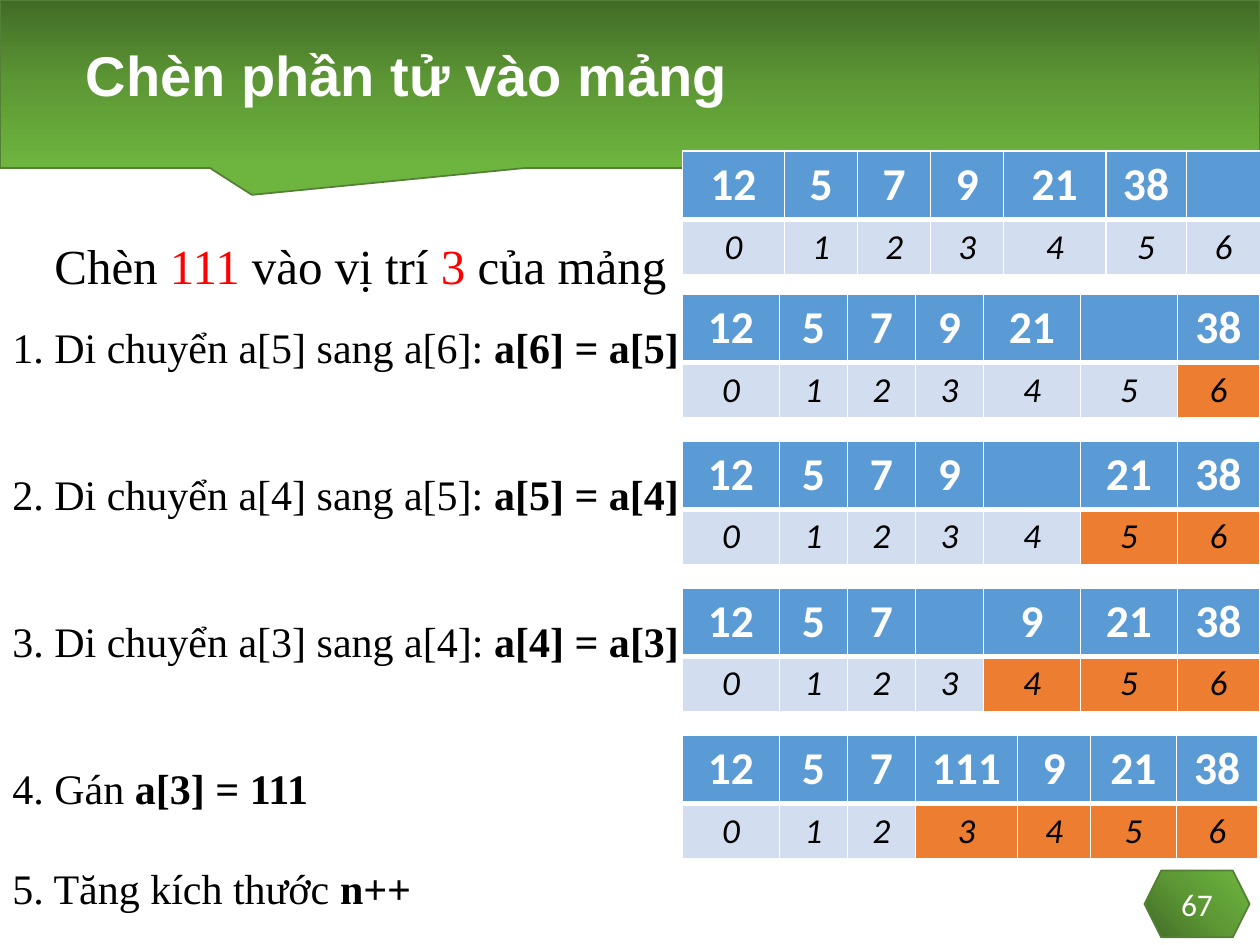
"""Build the slide that inserts 111 into an array at position 3."""
from dataclasses import dataclass

from lxml.etree import SubElement
from pptx import Presentation
from pptx.dml.color import RGBColor
from pptx.enum.shapes import MSO_SHAPE as Preset
from pptx.enum.text import MSO_ANCHOR as Anchor, MSO_AUTO_SIZE as AutoSize, PP_ALIGN as Align
from pptx.oxml import parse_xml
from pptx.oxml.ns import nsdecls, qn
from pptx.util import Inches, Pt

UNIT = 1 / 6
COLORS = {
    "white": "FFFFFF", "black": "000000", "red": "FF0000",
    "dark": "416B26", "middle": "5D9835", "light": "6EB53F", "edge": "538035",
    "header": "5B9BD5", "index": "D2DEEF", "moved": "ED7D31",
}
STEP_COLUMNS = (0.77, 0.54, 0.54, 0.54, 0.77, 0.77, 0.65)
LINEAR = '<a:lin ang="5400000" scaled="0"/>'
RADIAL = '<a:path path="circle"><a:fillToRect t="100000" r="100000"/></a:path>'


@dataclass(frozen=True)
class Area:
    """A rectangle in units of the slide grid, 60 columns by 45 rows."""
    left: float
    top: float
    width: float
    height: float

    def lengths(self) -> list:
        return [Inches(n * UNIT) for n in (self.left, self.top, self.width, self.height)]


@dataclass(frozen=True)
class Span:
    """A stretch of text in one colour and weight."""
    text: str
    color: str = "black"
    bold: bool = False


@dataclass(frozen=True)
class ArrayState:
    """The array after one step, with its cells marked from first_moved on."""
    top: float
    values: tuple
    first_moved: int = 7
    columns: tuple = STEP_COLUMNS


@dataclass(frozen=True)
class Step:
    """A numbered instruction."""
    top: float
    width: float
    text: str
    code: str


STATES = (
    ArrayState(7.2, ("12", "5", "7", "9", "21", "38", ""),
               columns=(0.81, 0.58, 0.58, 0.58, 0.81, 0.64, 0.59)),
    ArrayState(14, ("12", "5", "7", "9", "21", "", "38"), 6),
    ArrayState(21, ("12", "5", "7", "9", "", "21", "38"), 5),
    ArrayState(28, ("12", "5", "7", "", "9", "21", "38"), 4),
    ArrayState(35, ("12", "5", "7", "111", "9", "21", "38"), 3,
               (0.77, 0.54, 0.54, 0.81, 0.58, 0.68, 0.65)),
)
STEPS = (
    Step(15, 33, "1. Di chuyển a[5] sang a[6]: ", "a[6] = a[5]"),
    Step(22, 34.3, "2. Di chuyển a[4] sang a[5]: ", "a[5] = a[4]"),
    Step(29, 33.2, "3. Di chuyển a[3] sang a[4]: ", "a[4] = a[3]"),
    Step(36, 15.4, "4. Gán ", "a[3] = 111"),
    Step(40.8, 20.4, "5. Tăng kích thước ", "n++"),
)


def rgb(name: str) -> RGBColor:
    return RGBColor.from_string(COLORS[name])


def write(para, spans: tuple, font: str, size: float, italic: bool = False) -> None:
    for span in spans:
        run = para.add_run()
        run.text = span.text
        run.font.name, run.font.size = font, Pt(size)
        run.font.bold, run.font.italic = span.bold, italic
        run.font.color.rgb = rgb(span.color)


def add_green_shape(page, preset, area: Area, direction: str):
    shape = page.shapes.add_shape(preset, *area.lengths())
    shape.shadow.inherit = False
    shape.line.color.rgb, shape.line.width = rgb("edge"), Pt(1)
    stops = "".join(
        f'<a:gs pos="{place}"><a:srgbClr val="{COLORS[name]}"/></a:gs>'
        for place, name in ((0, "dark"), (50000, "middle"), (100000, "light")))
    gradient = parse_xml(f'<a:gradFill {nsdecls("a")} rotWithShape="1">'
                         f'<a:gsLst>{stops}</a:gsLst>{direction}</a:gradFill>')
    shape._element.spPr.find(qn("a:prstGeom")).addnext(gradient)
    return shape


def add_text(page, area: Area, spans: tuple, font: str, size: float, wrap: bool = True):
    box = page.shapes.add_textbox(*area.lengths())
    frame = box.text_frame
    frame.word_wrap = wrap
    frame.auto_size = AutoSize.NONE if wrap else AutoSize.SHAPE_TO_FIT_TEXT
    write(frame.paragraphs[0], spans, font, size)
    return frame


def add_border(cell, side: str, points: float) -> None:
    line = SubElement(cell._tc.get_or_add_tcPr(), qn(f"a:ln{side}"), w=str(Pt(points)))
    fill = SubElement(line, qn("a:solidFill"))
    SubElement(fill, qn("a:srgbClr"), val=COLORS["white"])


def fill_cell(cell, span: Span, size: float, fill: str, top: float, bottom: float,
              italic: bool = False) -> None:
    for side, points in (("L", 1), ("R", 1), ("T", top), ("B", bottom)):
        add_border(cell, side, points)
    cell.fill.solid()
    cell.fill.fore_color.rgb = rgb(fill)
    para = cell.text_frame.paragraphs[0]
    para.alignment = Align.CENTER
    if span.text:
        write(para, (span,), "Calibri", size, italic)


def add_array(page, state: ArrayState) -> None:
    area = Area(32.5, state.top, 27.5, 5.82)
    table = page.shapes.add_table(2, len(state.values), *area.lengths()).table
    for row, height in zip(table.rows, (0.54, 0.43)):
        row.height = Inches(height)
    for column, width in enumerate(state.columns):
        table.columns[column].width = Inches(width)
        fill_cell(table.cell(0, column), Span(state.values[column], "white", True),
                  26, "header", 1, 3)
        fill = "moved" if column >= state.first_moved else "index"
        fill_cell(table.cell(1, column), Span(str(column)), 20, fill, 3, 1, italic=True)


def main() -> None:
    deck = Presentation()
    deck.slide_width, deck.slide_height = Inches(10), Inches(7.5)
    page = deck.slides.add_slide(deck.slide_layouts[6])

    banner = add_green_shape(page, Preset.RECTANGULAR_CALLOUT, Area(0, 0, 60, 8), LINEAR)
    banner.adjustments[0], banner.adjustments[1] = -0.3, 0.66
    badge = add_green_shape(page, Preset.HEXAGON, Area(54.5, 41.46, 5, 3.18), RADIAL)
    badge.text_frame.vertical_anchor = Anchor.MIDDLE
    number = badge.text_frame.paragraphs[0]
    number.alignment = Align.CENTER
    write(number, (Span("67", "white"),), "Calibri", 18)

    title = add_text(page, Area(3.5, 0.5, 53, 6.5),
                     (Span("Chèn phần tử vào mảng", "white", True),), "Arial", 32)
    title.vertical_anchor = Anchor.MIDDLE
    title.paragraphs[0].line_spacing = 0.9

    task = add_text(page, Area(2, 9.5, 58, 3.5),
                    (Span("Chèn "), Span("111 ", "red"), Span("vào vị trí "),
                     Span("3 ", "red"), Span("của mảng")), "Times New Roman", 28)
    task.paragraphs[0].line_spacing = 1.5
    task.paragraphs[0].space_before = Pt(7.5)

    for state in STATES:
        add_array(page, state)
    for step in STEPS:
        add_text(page, Area(0, step.top, step.width, 3),
                 (Span(step.text), Span(step.code, bold=True)), "Times New Roman", 24, False)
    deck.save("out.pptx")


if __name__ == "__main__":
    main()
